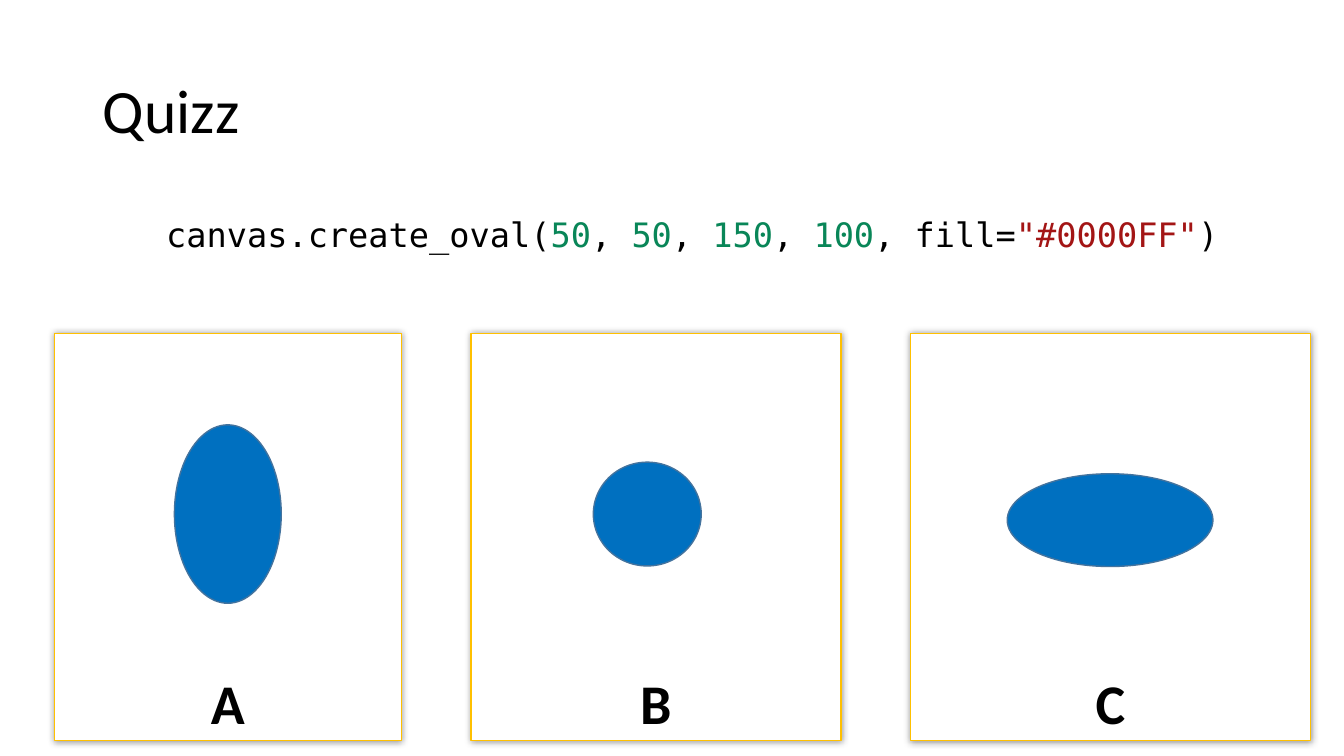
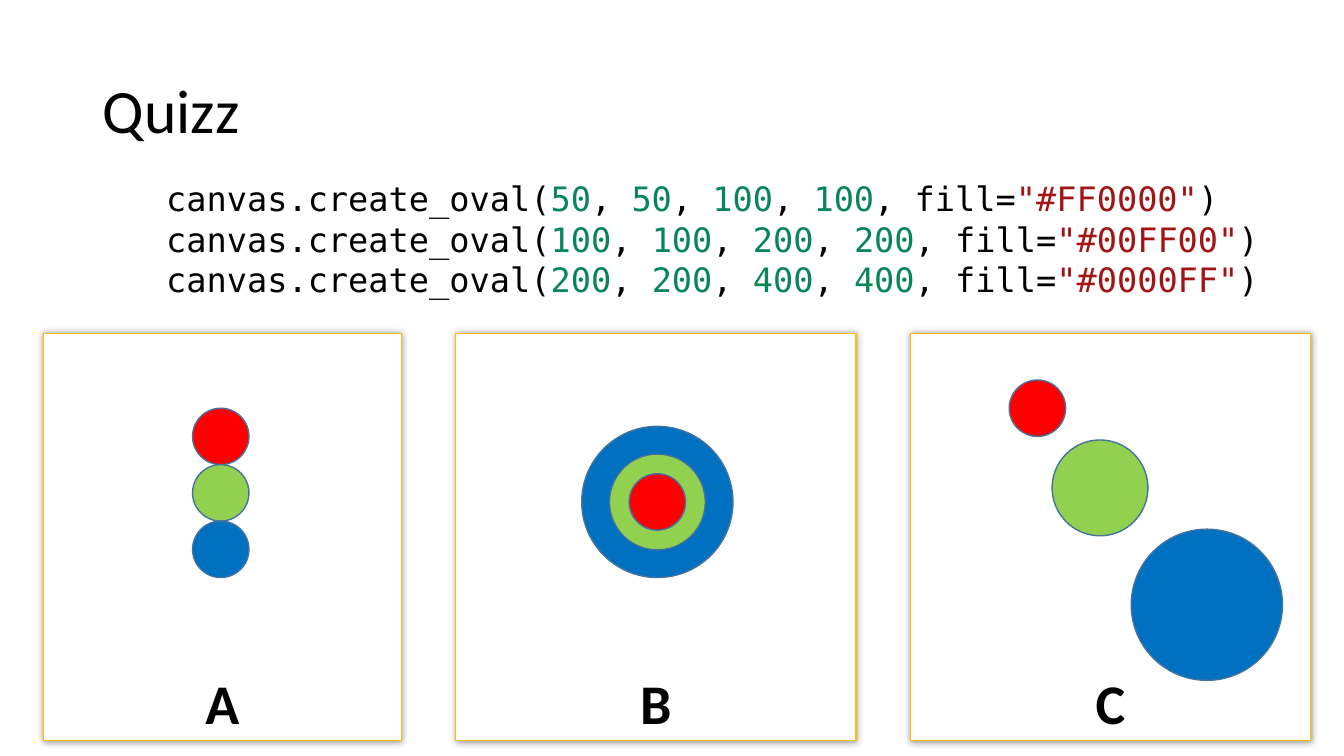
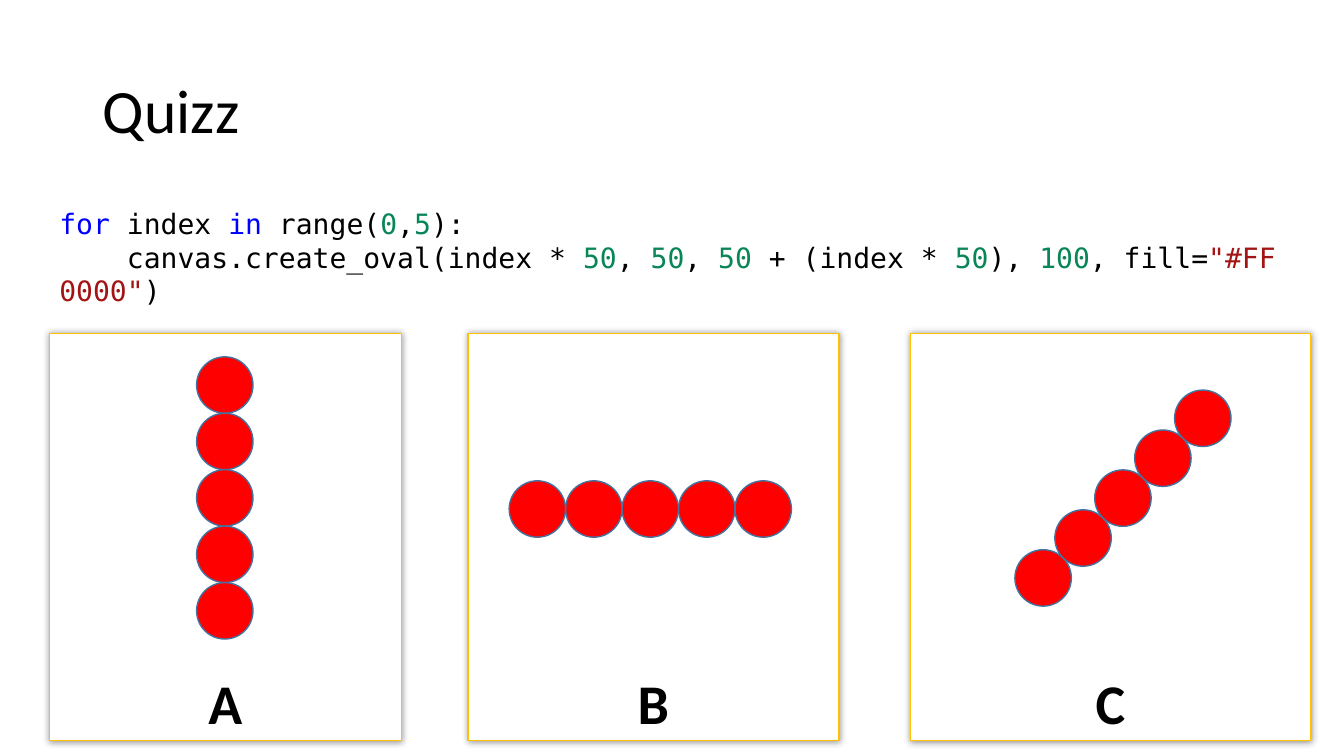
from itertools import groupby
from math import sqrt

from lxml import etree
from pptx import Presentation
from pptx.dml.color import RGBColor
from pptx.enum.shapes import MSO_SHAPE
from pptx.enum.text import MSO_ANCHOR, MSO_AUTO_SIZE, PP_ALIGN
from pptx.oxml.ns import qn
from pptx.util import Inches, Pt

RECTANGLE, OVAL = MSO_SHAPE.RECTANGLE, MSO_SHAPE.OVAL
MIDDLE, BOTTOM = MSO_ANCHOR.MIDDLE, MSO_ANCHOR.BOTTOM
LEFT, CENTER = PP_ALIGN.LEFT, PP_ALIGN.CENTER
GROW = MSO_AUTO_SIZE.SHAPE_TO_FIT_TEXT

# Shared look
TITLE_ONLY = 5
BLACK, WHITE, GOLD, OUTLINE = "000000", "FFFFFF", "FFC000", "43739E"
RED, GREEN, BLUE = "FF0000", "92D050", "0070C0"
NUMBER, STRING, KEYWORD = "098658", "A31515", "0000FF"
KEYWORDS = {"for", "in"}
TITLE_FONT = {"name": "Calibri", "size": Pt(44)}
ANSWER_FONT = {"name": "Calibri", "size": Pt(40), "bold": True}
CODE_FONT = "DejaVu Sans Mono"
NO_BREAK_SPACE = chr(160)

# Answer panels and small circles
PANEL_TOP, PANEL_HEIGHT = 3.31, 4.04
PANEL_C = (9.03, 3.97)
DOT, RING, DISC = 0.56, 0.95, 1.5


def rgb(color):
    return RGBColor.from_string(color)


def style_font(font, values, color=BLACK):
    for attribute, value in values.items():
        setattr(font, attribute, value)
    font.color.rgb = rgb(color)


def place(shape, left, top, width, height):
    box = {"left": left, "top": top, "width": width, "height": height}
    for attribute, value in box.items():
        setattr(shape, attribute, Inches(value))


def add_outlined(shapes, preset, box, fill, line):
    shape = shapes.add_shape(preset, *map(Inches, box))
    shape.shadow.inherit = False
    shape.fill.solid()
    shape.fill.fore_color.rgb = rgb(fill)
    shape.line.color.rgb = rgb(line)
    shape.line.width = Pt(1)
    return shape


def add_glow(shape):
    """Give the shape a soft shadow on all sides."""
    effects = shape._element.spPr.find(qn("a:effectLst"))
    shadow = etree.SubElement(effects, qn("a:outerShdw"), blurRad=str(Pt(5)),
                              dist="0", algn="ctr", rotWithShape="0")
    color = etree.SubElement(shadow, qn("a:srgbClr"), val=BLACK)
    etree.SubElement(color, qn("a:alpha"), val="40000")


def add_panels(slide, panels):
    """Draw the answer panels A, B, C from (left, width) pairs."""
    for letter, (left, width) in zip("ABC", panels):
        panel = add_outlined(slide.shapes, RECTANGLE,
                             (left, PANEL_TOP, width, PANEL_HEIGHT), WHITE, GOLD)
        add_glow(panel)
        frame = panel.text_frame
        frame.vertical_anchor = BOTTOM
        answer = frame.paragraphs[0]
        answer.alignment = CENTER
        run = answer.add_run()
        run.text = letter
        style_font(run.font, ANSWER_FONT)


def add_oval(shapes, center, width, height, fill):
    x, y = center
    box = (x - width / 2, y - height / 2, width, height)
    add_outlined(shapes, OVAL, box, fill, OUTLINE)


def add_chain(slide, start, step, fills):
    """Draw a group of equal circles, each one step from the last."""
    chain = slide.shapes.add_group_shape()
    for i, fill in enumerate(fills):
        center = (start[0] + i * step[0], start[1] + i * step[1])
        add_oval(chain.shapes, center, DOT, DOT, fill)


def char_kind(char):
    if char.isdigit():
        return "number"
    return "word" if char.isalpha() else "sign"


def color_tokens(line):
    """Yield (text, colour) for each token of a line of code."""
    for i, part in enumerate(line.split('"')):
        if i % 2:
            yield f'"{part}"', STRING
            continue
        for kind, chars in groupby(part, char_kind):
            token = "".join(chars)
            if kind == "number":
                yield token, NUMBER
            else:
                yield token, KEYWORD if token in KEYWORDS else BLACK


def add_code(slide, box, size, lines):
    code = slide.shapes.add_textbox(*map(Inches, box))
    frame = code.text_frame
    frame.word_wrap = True
    frame.auto_size = GROW
    for i, line in enumerate(lines):
        paragraph = frame.add_paragraph() if i else frame.paragraphs[0]
        tokens = color_tokens(line.replace(" ", NO_BREAK_SPACE))
        for color, same_color in groupby(tokens, lambda token: token[1]):
            run = paragraph.add_run()
            run.text = "".join(text for text, _ in same_color)
            style_font(run.font, {"name": CODE_FONT, "size": Pt(size)}, color)


def add_quiz(prs, panels, code_box, code_size, lines):
    """Add a slide with title, code and empty answer panels."""
    slide = prs.slides.add_slide(prs.slide_layouts[TITLE_ONLY])
    title = slide.shapes.title
    place(title, 0.92, 0.4, 11.5, 1.45)
    title.text_frame.vertical_anchor = MIDDLE
    heading = title.text_frame.paragraphs[0]
    heading.alignment = LEFT
    heading.line_spacing = 0.9
    run = heading.add_run()
    run.text = "Quizz"
    style_font(run.font, TITLE_FONT)
    add_panels(slide, panels)
    add_code(slide, code_box, code_size, lines)
    return slide


def add_single_oval_quiz(prs):
    slide = add_quiz(
        prs, [(0.54, 3.44), (4.67, 3.67), PANEL_C], (1.55, 2.07, 11.06, 0.5), 24,
        ['canvas.create_oval(50, 50, 150, 100, fill="#0000FF")'])
    for center, width, height in [((2.26, 5.1), 1.06, 1.77),
                                  ((6.42, 5.1), 1.07, 1.03),
                                  ((11.01, 5.16), 2.04, 0.92)]:
        add_oval(slide.shapes, center, width, height, BLUE)


def add_three_ovals_quiz(prs):
    slide = add_quiz(
        prs, [(0.43, 3.55), (4.52, 3.97), PANEL_C], (1.55, 1.72, 11.06, 1.31), 24,
        ['canvas.create_oval(50, 50, 100, 100, fill="#FF0000")',
         'canvas.create_oval(100, 100, 200, 200, fill="#00FF00")',
         'canvas.create_oval(200, 200, 400, 400, fill="#0000FF")'])
    add_chain(slide, (2.19, 4.33), (0, DOT), [RED, GREEN, BLUE])
    target = (6.52, 4.98)
    diagonal = [(11.97, 6), (10.91, 4.84), (10.29, 4.05)]
    for centers in ([target] * 3, diagonal):
        for center, size, fill in zip(centers, (DISC, RING, DOT),
                                      (BLUE, GREEN, RED)):
            add_oval(slide.shapes, center, size, size, fill)


def add_loop_quiz(prs):
    slide = add_quiz(
        prs, [(0.49, 3.49), (4.64, 3.68), PANEL_C], (0.49, 2, 12.35, 0.77), 20,
        ['for index in range(0,5):',
         '    canvas.create_oval(index * 50, 50, 50 + (index * 50), 100, '
         'fill="#FF0000")'])
    slant = DOT * sqrt(0.5)
    for start, step in [((2.23, 3.82), (0, DOT)),
                        ((7.57, 5.05), (-DOT, 0)),
                        ((11.93, 4.15), (-slant, slant))]:
        add_chain(slide, start, step, [RED] * 5)


def main():
    prs = Presentation()
    prs.slide_width, prs.slide_height = Inches(13.33), Inches(7.5)
    add_single_oval_quiz(prs)
    add_three_ovals_quiz(prs)
    add_loop_quiz(prs)
    prs.save("out.pptx")


if __name__ == "__main__":
    main()
